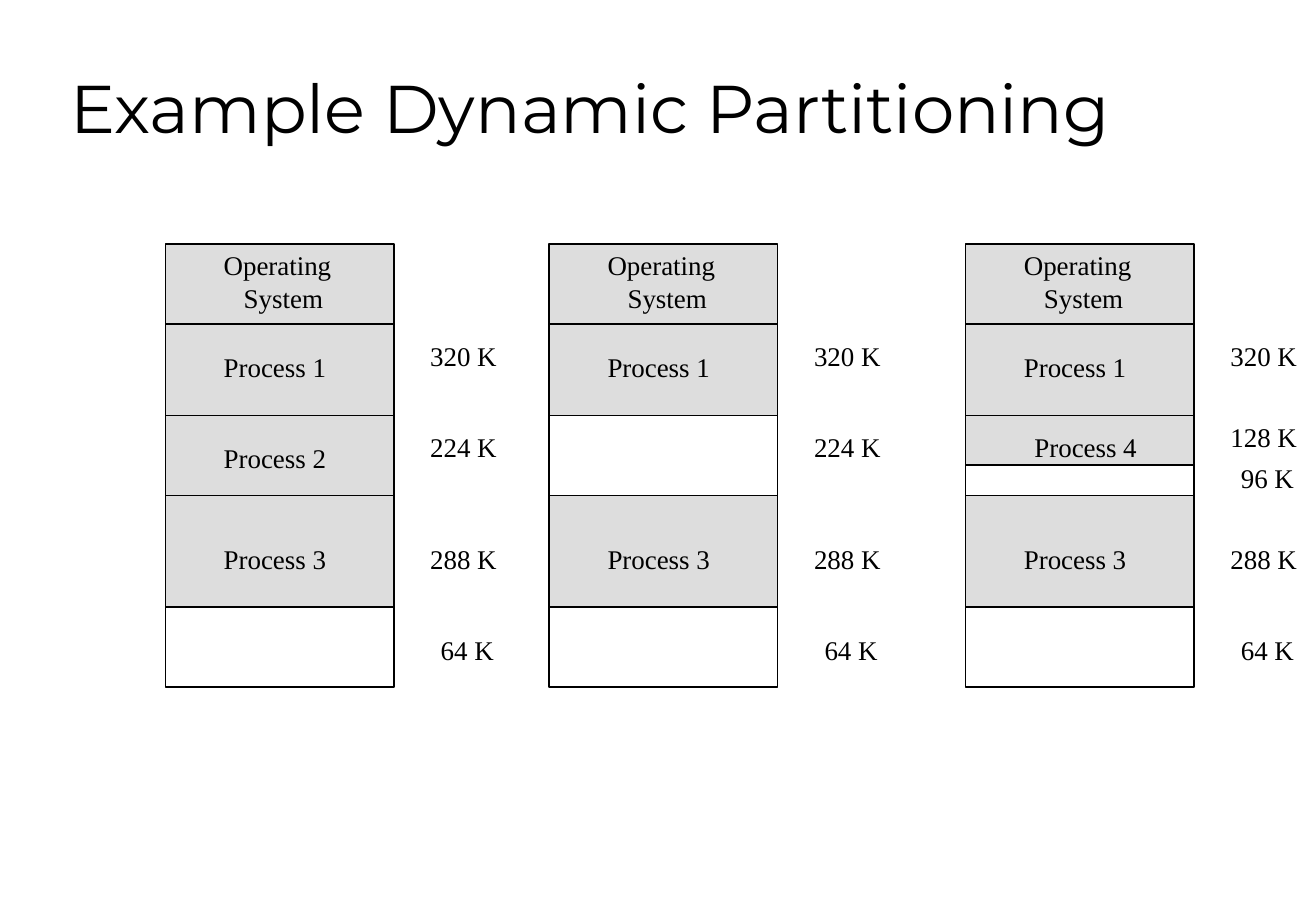
from pptx import Presentation
from pptx.dml.color import RGBColor
from pptx.enum.shapes import MSO_CONNECTOR, MSO_SHAPE
from pptx.enum.text import MSO_ANCHOR, MSO_AUTO_SIZE, PP_ALIGN
from pptx.oxml.ns import qn
from pptx.util import Cm, Pt
from lxml.etree import SubElement

BLACK = RGBColor(0x00, 0x00, 0x00)
GRAY = RGBColor(0xDD, 0xDD, 0xDD)

# Memory map geometry, in centimetres
COLUMN_LEFTS = (3.46, 11.49, 20.2)
WIDTH, TOP, BOTTOM = 4.78, 5.1, 14.37
OS_END, FIRST_END, SECOND_END, THIRD_END = 6.78, 8.69, 10.36, 12.7
FOURTH_END = 9.73
NAME_OFFSET, NAME_WIDTH = 0.97, 3.2
SIZE_OFFSET, SIZE_WIDTH = 5.29, 1.95
SHORT_SIZE_SHIFT = 0.22

# Labels as (text, top)
FIRST_NAME, THIRD_NAME = ("Process 1", 7.2), ("Process 3", 11.23)
COMMON_SIZES = [("320 K", 6.97), ("288 K", 11.23), ("64 K", 13.13)]
SECOND_SIZE = ("224 K", 8.87)


class MemorySlide:
    font_name = "Times New Roman"
    font_size = Pt(16)
    line_width = Pt(1)

    def __init__(self, presentation):
        self.slide = presentation.slides.add_slide(presentation.slide_layouts[5])

    def title(self, text, left, top, width, height):
        title = self.slide.shapes.title
        title.left, title.top = Cm(left), Cm(top)
        title.width, title.height = Cm(width), Cm(height)
        frame = title.text_frame
        frame.text = text
        frame.word_wrap = True
        frame.auto_size = MSO_AUTO_SIZE.NONE
        frame.vertical_anchor = MSO_ANCHOR.MIDDLE
        paragraph = frame.paragraphs[0]
        paragraph.alignment = PP_ALIGN.LEFT
        self.style(paragraph, "Montserrat", Pt(40))

    def style(self, paragraph, name, size):
        paragraph.font.name = name
        paragraph.font.size = size
        paragraph.font.color.rgb = BLACK

    def box(self, left, top, width, height, fill=None):
        """A filled box has no outline; an empty one is a black frame."""
        shape = self.slide.shapes.add_shape(
            MSO_SHAPE.RECTANGLE, Cm(left), Cm(top), Cm(width), Cm(height))
        shape.shadow.inherit = False
        if fill is None:
            shape.fill.background()
            shape.line.color.rgb = BLACK
            shape.line.width = self.line_width
        else:
            shape.fill.solid()
            shape.fill.fore_color.rgb = fill
            shape.line.fill.background()

    def divider(self, left, top, width):
        line = self.slide.shapes.add_connector(
            MSO_CONNECTOR.STRAIGHT, Cm(left), Cm(top), Cm(left + width), Cm(top))
        line.line.color.rgb = BLACK
        line.line.width = self.line_width
        SubElement(line._element.spPr, qn("a:effectLst"))

    def label(self, text, left, top, width, height=0.91):
        box = self.slide.shapes.add_textbox(Cm(left), Cm(top), Cm(width), Cm(height))
        frame = box.text_frame
        frame.word_wrap = True
        frame.auto_size = MSO_AUTO_SIZE.NONE
        frame.text = text
        for paragraph in frame.paragraphs:
            self.style(paragraph, self.font_name, self.font_size)
        # Later lines are indented
        for paragraph in frame.paragraphs[1:]:
            paragraph._p.get_or_add_pPr().set("marL", str(Cm(0.42)))

    def memory_map(self, left, used, ends, names, sizes):
        for start, end in used:
            self.box(left, start, WIDTH, end - start, GRAY)
        self.box(left, TOP, WIDTH, BOTTOM - TOP)
        for end in ends:
            self.divider(left, end, WIDTH)
        self.label("Operating\nSystem", left + NAME_OFFSET, 5.08, NAME_WIDTH, 1.6)
        for text, top, *shift in names:
            self.label(text, left + NAME_OFFSET + sum(shift), top, NAME_WIDTH)
        for text, top in sizes:
            shift = SHORT_SIZE_SHIFT if len(text) < 5 else 0
            self.label(text, left + SIZE_OFFSET + shift, top, SIZE_WIDTH - shift)


def main():
    presentation = Presentation()
    presentation.slide_width, presentation.slide_height = Cm(27.53), Cm(19.05)
    page = MemorySlide(presentation)
    page.title("Example Dynamic Partitioning", 1.22, 0.64, 23.39, 3.18)

    ends = [OS_END, FIRST_END, SECOND_END, THIRD_END]
    third_used = (SECOND_END, THIRD_END)
    first, second, third = COLUMN_LEFTS

    # All three processes loaded
    page.memory_map(first, [(TOP, THIRD_END)], ends,
                    [FIRST_NAME, ("Process 2", 9.11), THIRD_NAME],
                    COMMON_SIZES + [SECOND_SIZE])

    # Process 2 swapped out
    page.memory_map(second, [(TOP, FIRST_END), third_used], ends,
                    [FIRST_NAME, THIRD_NAME], COMMON_SIZES + [SECOND_SIZE])

    # Process 4 in part of the free space
    page.memory_map(third, [(TOP, FOURTH_END), third_used], ends + [FOURTH_END],
                    [FIRST_NAME, ("Process 4", 8.87, 0.22), THIRD_NAME],
                    COMMON_SIZES + [("128 K", 8.67), ("96 K", 9.53)])

    presentation.save("out.pptx")


if __name__ == "__main__":
    main()
